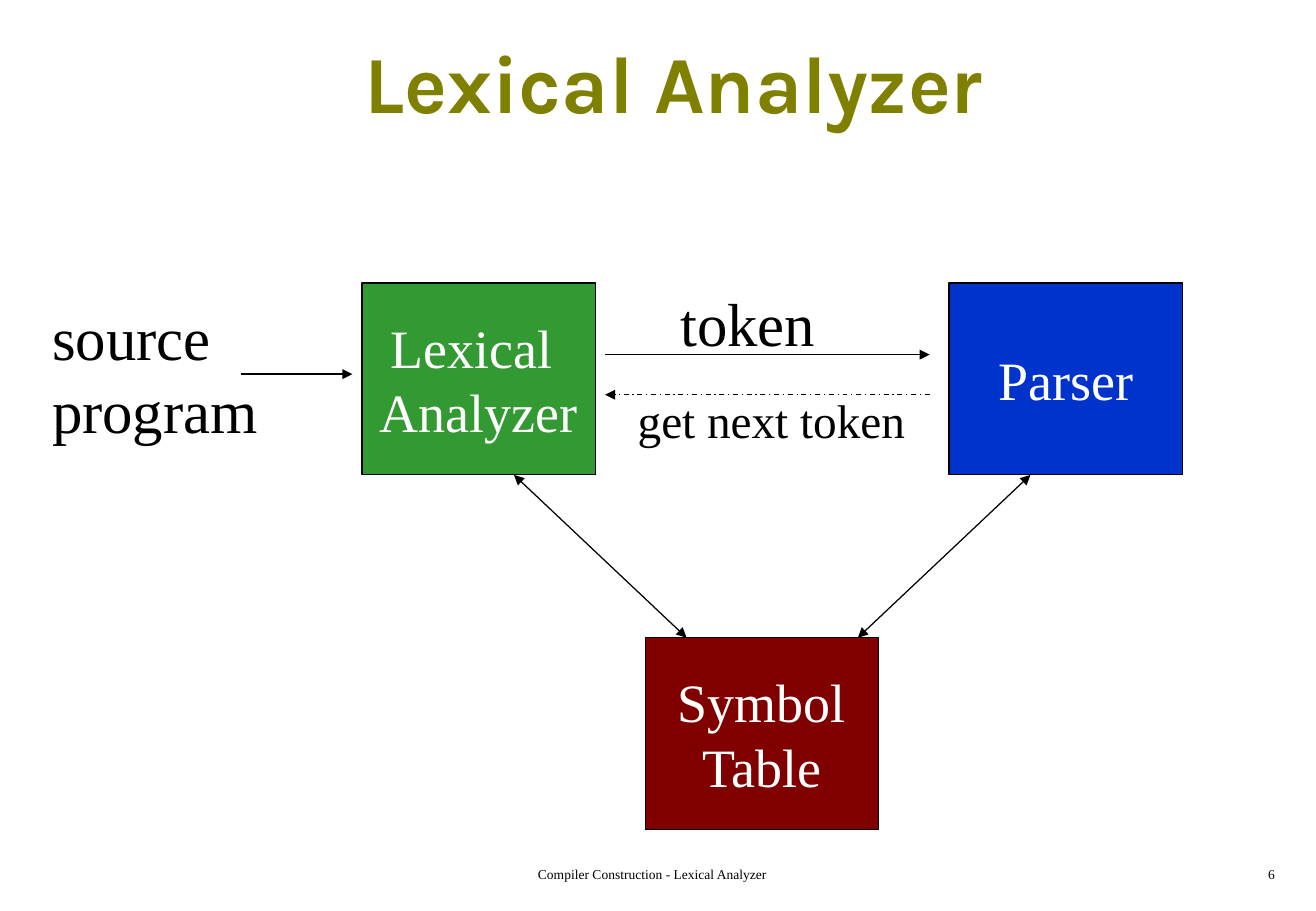
from dataclasses import dataclass

from pptx import Presentation
from pptx.dml.color import RGBColor
from pptx.enum.dml import MSO_LINE
from pptx.enum.shapes import MSO_CONNECTOR, MSO_SHAPE
from pptx.enum.text import MSO_ANCHOR, MSO_AUTO_SIZE, PP_ALIGN
from pptx.oxml.ns import qn
from pptx.util import Inches, Pt
from lxml.etree import SubElement


@dataclass(frozen=True)
class Theme:
    title_font: str = "Karla"
    body_font: str = "Times New Roman"
    title_size: int = 48
    label_size: int = 36
    box_size: int = 32
    request_size: int = 28
    footer_size: int = 8
    line_width: float = 0.75
    ink: str = "000000"
    light: str = "FFFFFF"
    title: str = "808000"
    lexer: str = "339933"
    parser: str = "0033CC"
    symbols: str = "800000"


BOX_WIDTH, BOX_HEIGHT = 1.92, 1.58
TOP_ROW, BOTTOM_ROW = 2.33, 5.25
LEXER_LEFT, PARSER_LEFT, SYMBOLS_LEFT = 2.98, 7.81, 5.31


class SlideBuilder:
    def __init__(self, slide, theme):
        self.slide = slide
        self.theme = theme

    def set_text(self, text_frame, text, size, color, align, font_name=None, bold=False):
        text_frame.text = text
        for paragraph in text_frame.paragraphs:
            paragraph.alignment = align
            for run in paragraph.runs:
                run.font.name = font_name or self.theme.body_font
                run.font.size = Pt(size)
                run.font.bold = bold
                run.font.color.rgb = RGBColor.from_string(color)

    def title(self, text, left, top, width, height):
        shape = self.slide.shapes.title
        shape.left, shape.top = Inches(left), Inches(top)
        shape.width, shape.height = Inches(width), Inches(height)
        text_frame = shape.text_frame
        text_frame.auto_size = MSO_AUTO_SIZE.NONE
        text_frame.vertical_anchor = MSO_ANCHOR.MIDDLE
        self.set_text(text_frame, text, self.theme.title_size, self.theme.title,
                      PP_ALIGN.CENTER, self.theme.title_font, True)

    def label(self, text, left, top, width, height, size,
              align=PP_ALIGN.LEFT, wrap=False):
        shape = self.slide.shapes.add_textbox(
            Inches(left), Inches(top), Inches(width), Inches(height))
        shape.text_frame.word_wrap = wrap
        self.set_text(shape.text_frame, text, size, self.theme.ink, align)

    def box(self, text, left, top, fill):
        shape = self.slide.shapes.add_shape(
            MSO_SHAPE.RECTANGLE, Inches(left), Inches(top),
            Inches(BOX_WIDTH), Inches(BOX_HEIGHT))
        shape.shadow.inherit = False
        shape.fill.solid()
        shape.fill.fore_color.rgb = RGBColor.from_string(fill)
        self.outline(shape.line)
        shape.text_frame.word_wrap = False
        shape.text_frame.vertical_anchor = MSO_ANCHOR.MIDDLE
        self.set_text(shape.text_frame, text, self.theme.box_size,
                      self.theme.light, PP_ALIGN.CENTER)

    def outline(self, line):
        line.color.rgb = RGBColor.from_string(self.theme.ink)
        line.width = Pt(self.theme.line_width)

    def arrow(self, start, end, both_ways=False, dash=None):
        connector = self.slide.shapes.add_connector(
            MSO_CONNECTOR.STRAIGHT, *(Inches(value) for value in (*start, *end)))
        self.outline(connector.line)
        if dash is not None:
            connector.line.dash_style = dash
        properties = connector._element.spPr
        line_element = properties.find(qn("a:ln"))
        for tag in ("a:headEnd", "a:tailEnd") if both_ways else ("a:tailEnd",):
            SubElement(line_element, qn(tag), type="triangle")
        SubElement(properties, qn("a:effectLst"))


def main():
    presentation = Presentation()
    presentation.slide_width = Inches(10.83)
    presentation.slide_height = Inches(7.5)
    theme = Theme()
    slide = presentation.slides.add_slide(presentation.slide_layouts[5])
    builder = SlideBuilder(slide, theme)

    # Title
    builder.title("Lexical Analyzer", 0.42, 0.17, 10.25, 1)

    # Components
    builder.box("Lexical \nAnalyzer", LEXER_LEFT, TOP_ROW, theme.lexer)
    builder.box("Parser", PARSER_LEFT, TOP_ROW, theme.parser)
    builder.box("Symbol\nTable", SYMBOLS_LEFT, BOTTOM_ROW, theme.symbols)

    # Source input and token exchange
    builder.arrow((1.98, 3.08), (2.9, 3.08))
    builder.arrow((4.98, 2.92), (7.65, 2.92))
    builder.arrow((7.65, 3.25), (4.98, 3.25), dash=MSO_LINE.DASH_DOT)

    # Symbol table access
    row_bottom = TOP_ROW + BOX_HEIGHT
    builder.arrow((4.23, row_bottom), (5.65, BOTTOM_ROW), both_ways=True)
    builder.arrow((8.48, row_bottom), (7.06, BOTTOM_ROW), both_ways=True)

    # Flow labels
    builder.label("source\nprogram", 0.33, 2.42, 1.9, 1.3, theme.label_size)
    builder.label("token", 5.5, 2.3, 1.31, 0.7, theme.label_size)
    builder.label("get next token", 5.15, 3.17, 2.4, 0.57, theme.request_size)

    # Footer and slide number
    builder.label("Compiler Construction - Lexical Analyzer", 3.34, 7.08, 4.06, 0.25,
                  theme.footer_size, PP_ALIGN.CENTER, wrap=True)
    builder.label("6", 8.33, 7.08, 2.26, 0.25,
                  theme.footer_size, PP_ALIGN.RIGHT, wrap=True)

    presentation.save("out.pptx")


if __name__ == "__main__":
    main()
